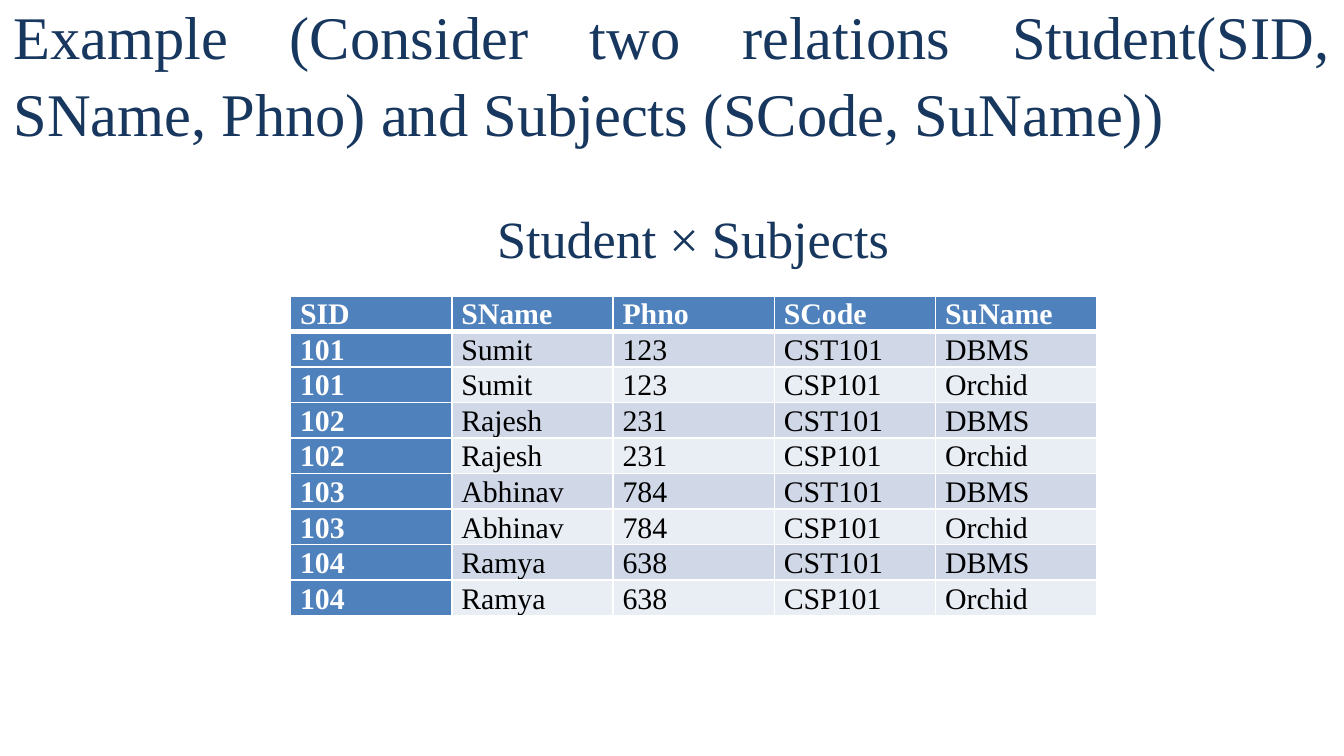
from lxml.etree import SubElement
from pptx import Presentation
from pptx.dml.color import RGBColor
from pptx.enum.text import MSO_ANCHOR, MSO_AUTO_SIZE, PP_ALIGN
from pptx.oxml.ns import qn
from pptx.util import Cm, Pt

FONT = "Times New Roman"
NAVY, BLUE, WHITE, BLACK = "17375E", "4F81BD", "FFFFFF", "000000"
BANDS = ("D0D8E8", "E9EDF4")

HEADINGS = ("SID", "SName", "Phno", "SCode", "SuName")
STUDENTS = (
    ("101", "Sumit", "123"),
    ("102", "Rajesh", "231"),
    ("103", "Abhinav", "784"),
    ("104", "Ramya", "638"),
)
SUBJECTS = (("CST101", "DBMS"), ("CSP101", "Orchid"))


def colour(hex_code):
    return RGBColor.from_string(hex_code)


def write(frame, text, size, color=NAVY, bold=False, align=None,
          line_spacing=None, space_after=None):
    """Put one formatted paragraph into a text frame and return it."""
    frame.word_wrap = True
    paragraph = frame.paragraphs[0]
    paragraph.alignment = align
    paragraph.line_spacing = line_spacing
    paragraph.space_before = Pt(0)
    paragraph.space_after = space_after
    run = paragraph.add_run()
    run.text = text
    run.font.name = FONT
    run.font.size = Pt(size)
    run.font.bold = bold
    run.font.color.rgb = colour(color)
    return paragraph


def place(shape, left, top, width, height):
    shape.left, shape.top = Cm(left), Cm(top)
    shape.width, shape.height = Cm(width), Cm(height)
    shape.text_frame.auto_size = MSO_AUTO_SIZE.NONE


def add_borders(cell, **widths):
    """Draw white borders; widths are in points, keyed by side."""
    properties = cell._tc.get_or_add_tcPr()
    for side in ("L", "R", "T", "B"):
        line = SubElement(properties, qn(f"a:ln{side}"), w=str(Pt(widths.get(side, 1))))
        fill = SubElement(line, qn("a:solidFill"))
        SubElement(fill, qn("a:srgbClr"), val=WHITE)


def format_cell(cell, text, row, column):
    heading = row == 0 or column == 0
    cell.margin_left = cell.margin_right = Cm(0.18)
    cell.margin_top = cell.margin_bottom = 0
    # The rule between header and body is thicker; borders precede the fill
    add_borders(cell, T=3 if row == 1 else 1, B=3 if row == 0 else 1)
    cell.fill.solid()
    cell.fill.fore_color.rgb = colour(BLUE if heading else BANDS[(row - 1) % 2])
    write(cell.text_frame, text, 16, color=WHITE if heading else BLACK,
          bold=heading, align=PP_ALIGN.JUSTIFY, line_spacing=1.07, space_after=Pt(8))


def add_product_table(slide):
    """Pair every student with every subject."""
    pairs = [student + subject for student in STUDENTS for subject in SUBJECTS]
    rows = [HEADINGS, *pairs]
    product = slide.shapes.add_table(
        len(rows), len(HEADINGS), Cm(5.49), Cm(5.59), Cm(15.24), Cm(0.67 * len(rows))
    ).table
    product.first_row = product.horz_banding = False
    for row, values in enumerate(rows):
        for column, value in enumerate(values):
            format_cell(product.cell(row, column), value, row, column)


def main():
    deck = Presentation()
    deck.slide_width, deck.slide_height = Cm(25.4), Cm(14.28)
    slide = deck.slides.add_slide(deck.slide_layouts[1])

    # Title
    example = slide.shapes.title
    place(example, 0, 0, 25.4, 2.72)
    example.text_frame.vertical_anchor = MSO_ANCHOR.MIDDLE
    write(example.text_frame,
          "Example (Consider two relations Student(SID, SName, Phno) "
          "and Subjects (SCode, SuName))",
          32.4, align=PP_ALIGN.JUSTIFY, line_spacing=1.05)

    # Name of the product, indented without a bullet
    product_name = slide.placeholders[1]
    place(product_name, 1.24, 3.76, 22.91, 9.75)
    heading = write(product_name.text_frame, "Student × Subjects", 28)
    properties = heading._p.get_or_add_pPr()
    properties.set("marL", str(Cm(7.9)))
    properties.set("indent", "0")
    SubElement(properties, qn("a:buNone"))

    # Cartesian product
    add_product_table(slide)

    deck.save("out.pptx")


if __name__ == "__main__":
    main()
